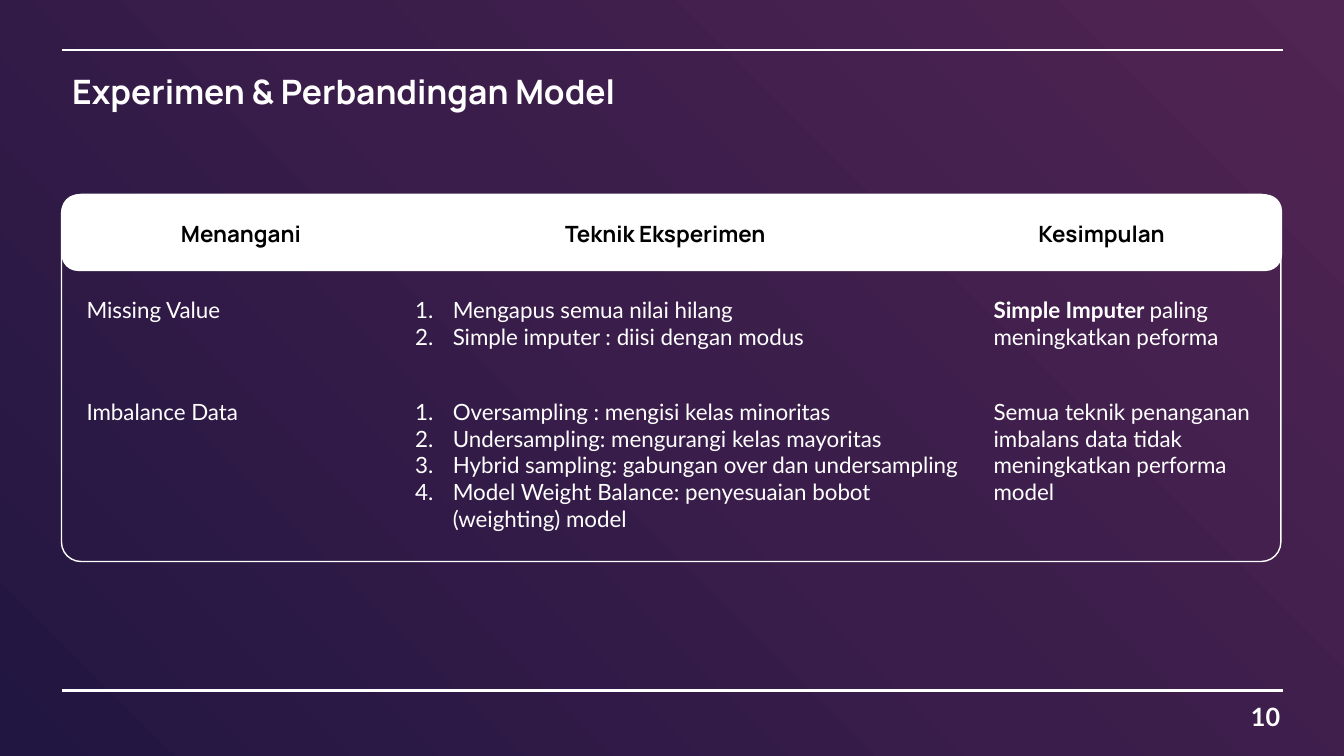
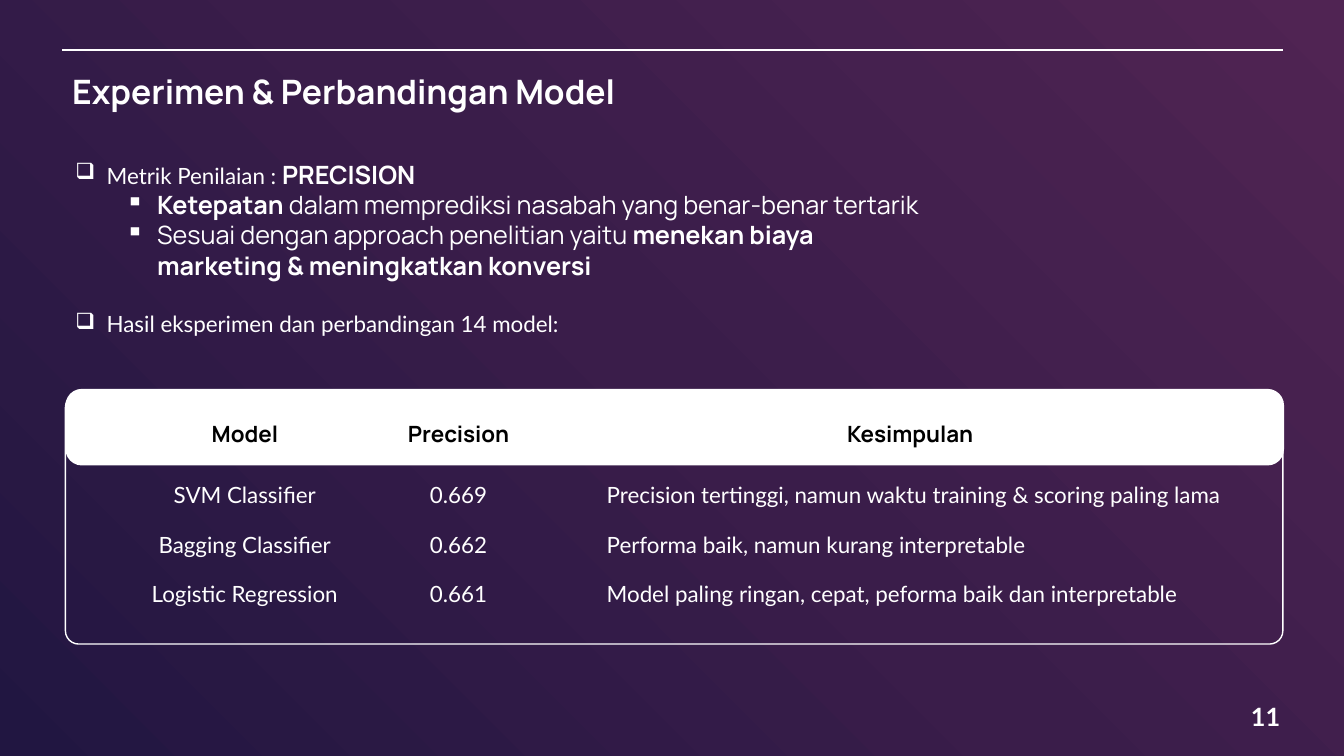
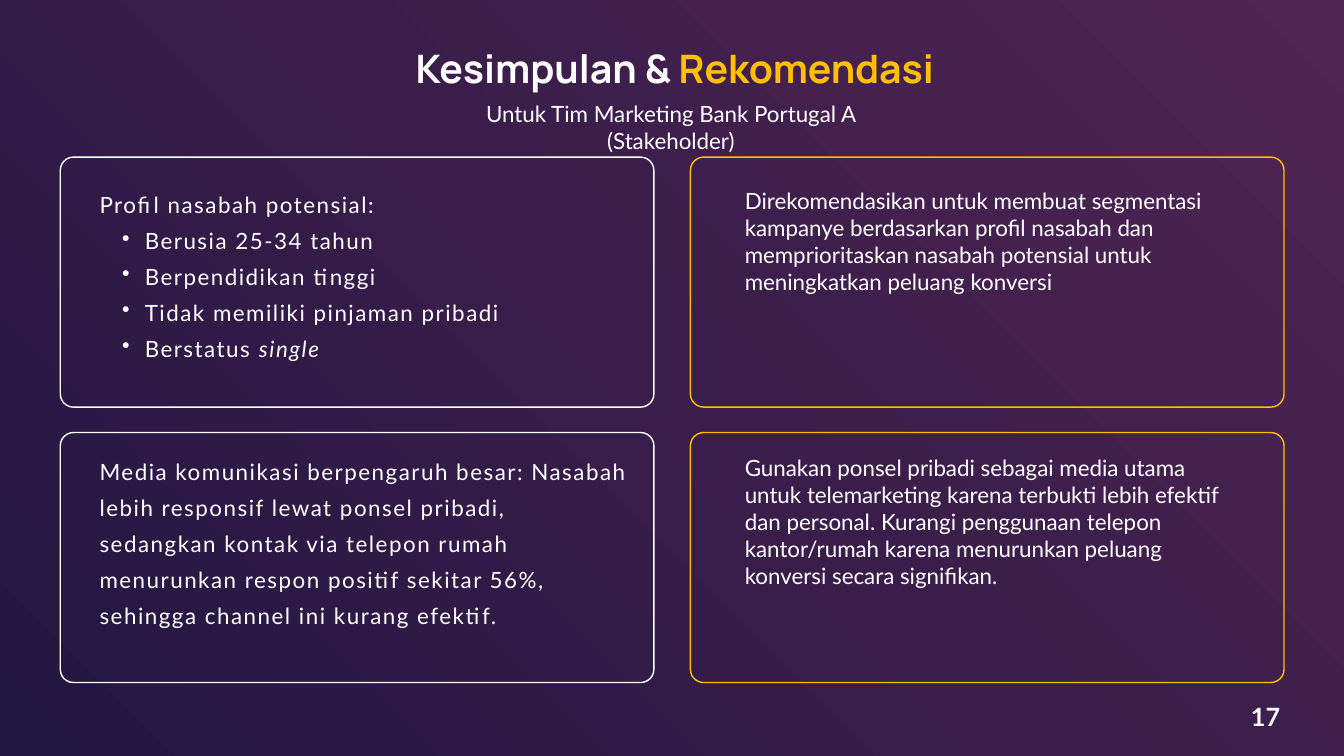
from collections import namedtuple

from lxml.etree import SubElement
from pptx import Presentation
from pptx.dml.color import RGBColor as RGB
from pptx.enum.shapes import MSO_CONNECTOR as LINE, MSO_SHAPE as SHAPE
from pptx.enum.text import MSO_ANCHOR as ANCHOR, PP_ALIGN as ALIGN
from pptx.oxml import parse_xml
from pptx.oxml.ns import nsdecls, qn
from pptx.util import Cm, Pt

COLORS = {"white": "FFFFFF", "black": "000000", "gold": "FFC000",
          "plum": "502453", "violet": "3A1D4A", "navy": "211641"}
HEAD, BODY = "Manrope", "Lato"
LEFT, RIGHT = 1.57, 32.33          # ends of the rules
NO_STYLE_NO_GRID = "{2D5ABB26-0587-4C30-8999-92F81FD0307C}"
NUMBERED = {"number": True, "margin": 0.95, "hang": 0.95}
BOX_ITEM = {"char": "❑", "margin": 0.79, "hang": 0.79}
SQUARE_ITEM = {"char": "▪", "margin": 2.06, "hang": 0.79, "level": 1}
DOT_ITEM = {"char": "•", "margin": 1.14, "hang": 0.57, "level": 1}

# header_right and body_left are extra insets in cm
Column = namedtuple("Column", "width align header_right body_left",
                    defaults=(ALIGN.LEFT, 0, 0))


# Text
def style(r, size=16, font=BODY, color="white", bold=False, italic=False,
          spacing=0):
    r.font.size, r.font.name = Pt(size), font
    r.font.bold, r.font.italic = bold, italic
    r.font.color.rgb = RGB.from_string(COLORS[color])
    if spacing:
        r.font._element.set("spc", str(spacing))


def bullet(p, margin, hang, char=None, number=False, level=0):
    p.level = level
    pPr = p._p.get_or_add_pPr()
    pPr.set("marL", str(Cm(margin)))
    pPr.set("indent", str(-Cm(hang)))
    if number:
        SubElement(pPr, qn("a:buAutoNum"), type="arabicPeriod")
    else:
        SubElement(pPr, qn("a:buChar"), char=char)


def write(p, pieces, align=ALIGN.LEFT, item=None, **base):
    """Fill a paragraph from a string or from (text, style) pieces."""
    if isinstance(pieces, str):
        pieces = [(pieces, {})]
    p.alignment = align
    p.text = pieces[0][0]
    for text, _ in pieces[1:]:
        p.add_run().text = text
    for r, (_, own) in zip(p.runs, pieces):
        style(r, **{**base, **own})
    if item:
        bullet(p, **item)


def paragraphs(tf, count):
    return [tf.paragraphs[0]] + [tf.add_paragraph() for _ in range(count - 1)]


def text_box(s, x, y, w, h, pieces=None, anchor=ANCHOR.TOP, inset=True, **kw):
    tf = s.shapes.add_textbox(Cm(x), Cm(y), Cm(w), Cm(h)).text_frame
    tf.word_wrap, tf.vertical_anchor = True, anchor
    if not inset:
        tf.margin_left = tf.margin_right = 0
        tf.margin_top = tf.margin_bottom = 0
    if pieces:
        write(tf.paragraphs[0], pieces, **kw)
    return tf


# Shapes
def rule(s, y):
    c = s.shapes.add_connector(LINE.STRAIGHT, Cm(LEFT), Cm(y), Cm(RIGHT), Cm(y))
    c.line.color.rgb = RGB.from_string(COLORS["white"])
    c.line.width = Pt(1.5)
    SubElement(c.element.spPr, qn("a:effectLst"))


def rounded(s, x, y, w, h, radius, fill=None, line=None):
    sp = s.shapes.add_shape(SHAPE.ROUNDED_RECTANGLE, Cm(x), Cm(y), Cm(w), Cm(h))
    sp.shadow.inherit = False
    sp.adjustments[0] = radius
    if fill:
        sp.fill.solid()
        sp.fill.fore_color.rgb = RGB.from_string(COLORS[fill])
    else:
        sp.fill.background()
    if line:
        sp.line.color.rgb = RGB.from_string(COLORS[line])
        sp.line.width = Pt(1)
    else:
        sp.line.fill.background()


def card(s, x, y, w, h, line="white"):
    rounded(s, x, y, w, h, 0.053, line=line)


def table(s, x, y, columns, heights, rows):
    """The first row is the header; a list in a cell is numbered."""
    width = sum(c.width for c in columns)
    frame = s.shapes.add_table(len(rows), len(columns), Cm(x), Cm(y),
                               Cm(width), Cm(sum(heights)))
    frame.element.xpath(".//a:tableStyleId")[0].text = NO_STYLE_NO_GRID
    tbl = frame.table
    tbl.horz_banding = False
    for col, column in zip(tbl.columns, columns):
        col.width = Cm(column.width)
    for i, (row, height) in enumerate(zip(rows, heights)):
        tbl.rows[i].height = Cm(height)
        for j, (content, column) in enumerate(zip(row, columns)):
            cell = tbl.cell(i, j)
            cell.fill.background()
            if i == 0:
                cell.margin_right = Cm(0.25 + column.header_right)
                write(cell.text_frame.paragraphs[0], content, ALIGN.CENTER,
                      font=HEAD, color="black", bold=True)
                continue
            cell.margin_left = Cm(0.25 + column.body_left)
            numbered = isinstance(content, list) and isinstance(content[0], str)
            lines = content if numbered else [content]
            for p, line in zip(paragraphs(cell.text_frame, len(lines)), lines):
                write(p, line, column.align, NUMBERED if numbered else None)


# Shared slide parts
def set_background(master):
    master.background.fill.gradient()
    old = master.element.xpath("p:cSld/p:bg//a:gradFill")[0]
    stops = "".join(
        f'<a:gs pos="{pos}"><a:srgbClr val="{COLORS[name]}"/></a:gs>'
        for pos, name in ((0, "plum"), (50000, "violet"), (100000, "navy")))
    old.getparent().replace(old, parse_xml(
        f'<a:gradFill {nsdecls("a")} rotWithShape="1"><a:gsLst>{stops}</a:gsLst>'
        '<a:path path="circle"><a:fillToRect l="100000" b="100000"/></a:path>'
        '</a:gradFill>'))


def new_slide(prs, number):
    s = prs.slides.add_slide(prs.slide_layouts[6])
    text_box(s, 31.22, 17.55, 1.35, 1.02, str(number), align=ALIGN.CENTER,
             size=18, bold=True)
    return s


def experiment_slide(prs, number):
    s = new_slide(prs, number)
    rule(s, 1.27)
    text_box(s, LEFT, 1.65, 21.77, 1.27, "Experimen & Perbandingan Model",
             size=24, font=HEAD, bold=True)
    return s


# Slides
def techniques(prs):
    s = experiment_slide(prs, 10)
    rule(s, 17.4)
    rounded(s, 1.55, 4.9, 30.76, 1.93, 0.215, fill="white")
    card(s, 1.55, 4.9, 30.73, 9.25)
    columns = [Column(8.28), Column(14.58, header_right=1.47),
               Column(7.11, header_right=1.17)]
    table(s, 1.93, 5.38, columns, [1.96, 2.57, 3.68], [
        ["Menangani", "Teknik Eksperimen", "Kesimpulan"],
        ["Missing Value",
         ["Mengapus semua nilai hilang",
          "Simple imputer : diisi dengan modus"],
         [("Simple Imputer ", {"bold": True}),
          ("paling meningkatkan peforma", {})]],
        ["Imbalance Data",
         ["Oversampling : mengisi kelas minoritas",
          "Undersampling: mengurangi kelas mayoritas",
          "Hybrid sampling: gabungan over dan undersampling",
          "Model Weight Balance: penyesuaian bobot (weighting) model"],
         "Semua teknik penanganan imbalans data tidak meningkatkan performa "
         "model"],
    ])


def model_results(prs):
    s = experiment_slide(prs, 11)

    # Metric and its reasons
    thin = {"font": HEAD, "size": 18}
    strong = {**thin, "bold": True}
    lines = [
        ([("Metrik Penilaian : ", {}), ("PRECISION", strong)], BOX_ITEM),
        ([("Ketepatan ", strong),
          ("dalam memprediksi nasabah yang benar-benar tertarik", thin)],
         SQUARE_ITEM),
        ([("Sesuai dengan approach penelitian yaitu", thin),
          (" menekan biaya marketing & meningkatkan konversi", strong)],
         SQUARE_ITEM),
        ("Hasil eksperimen dan perbandingan 14 model:", BOX_ITEM),
    ]
    tf = text_box(s, 1.65, 3.89, 22.05, 5.64)
    for p, (pieces, item) in zip(paragraphs(tf, len(lines)), lines):
        write(p, pieces, item=item)
    p.space_before = Pt(21.6)

    # Results
    rounded(s, 1.65, 9.8, 30.71, 1.93, 0.215, fill="white")
    card(s, 1.65, 9.93, 30.68, 6.3)
    columns = [Column(5.94, ALIGN.CENTER), Column(4.83, ALIGN.CENTER),
               Column(17.93, body_left=1.07)]
    table(s, 3.2, 10.41, columns, [1.6] + [1.245] * 3, [
        ["Model", "Precision", "Kesimpulan"],
        ["SVM Classifier", "0.669",
         "Precision tertinggi, namun waktu training & scoring paling lama"],
        ["Bagging Classifier", "0.662",
         "Performa baik, namun kurang interpretable"],
        ["Logistic Regression", "0.661",
         "Model paling ringan, cepat, peforma baik dan interpretable"],
    ])


def recommendations(prs):
    s = new_slide(prs, 17)
    text_box(s, 1.7, 0.74, 30.61, 1.93,
             [("Kesimpulan & ", {}), ("Rekomendasi", {"color": "gold"})],
             ANCHOR.MIDDLE, align=ALIGN.CENTER, size=28, font=HEAD, bold=True)
    text_box(s, 10.41, 2.39, 13, 0.94,
             "Untuk Tim Marketing Bank Portugal A (Stakeholder)",
             align=ALIGN.CENTER)

    # Findings on the left, the advice for each on the right
    profile = [
        ("Profil nasabah potensial:", None),
        ("Berusia 25-34 tahun", DOT_ITEM),
        ("Berpendidikan tinggi", DOT_ITEM),
        ("Tidak memiliki pinjaman pribadi", DOT_ITEM),
        ([("Berstatus ", {}), ("single", {"italic": True})], DOT_ITEM),
    ]
    media = [("Media komunikasi berpengaruh besar: Nasabah lebih responsif lewat "
              "ponsel pribadi, sedangkan kontak via telepon rumah menurunkan "
              "respon positif sekitar 56%, sehingga channel ini kurang efektif.",
              None)]
    pairs = [
        (4.6, profile,
         "Direkomendasikan untuk membuat segmentasi kampanye berdasarkan profil "
         "nasabah dan memprioritaskan nasabah potensial untuk meningkatkan "
         "peluang konversi"),
        (11.33, media,
         "Gunakan ponsel pribadi sebagai media utama untuk telemarketing karena "
         "terbukti lebih efektif dan personal. Kurangi penggunaan telepon "
         "kantor/rumah karena menurunkan peluang konversi secara signifikan."),
    ]
    width, height, gap_x, gap_y = 14.96, 6.3, 0.92, 0.64
    for i, (text_top, finding, advice) in enumerate(pairs):
        top = 3.96 + i * (height + gap_y)
        for j, line in enumerate(("white", "gold")):
            card(s, 1.52 + j * (width + gap_x), top, width, height, line)
        tf = text_box(s, 2.51, text_top, 13.41, 4.55, inset=False)
        for p, (pieces, item) in zip(paragraphs(tf, len(finding)), finding):
            p.line_spacing = Pt(25.6)
            write(p, pieces, item=item, spacing=110)
        text_box(s, 18.52, text_top, 12.7, 3.68, advice)


def main():
    prs = Presentation()
    prs.slide_width, prs.slide_height = Cm(33.87), Cm(19.05)
    set_background(prs.slide_master)
    techniques(prs)
    model_results(prs)
    recommendations(prs)
    prs.save("out.pptx")


if __name__ == "__main__":
    main()
